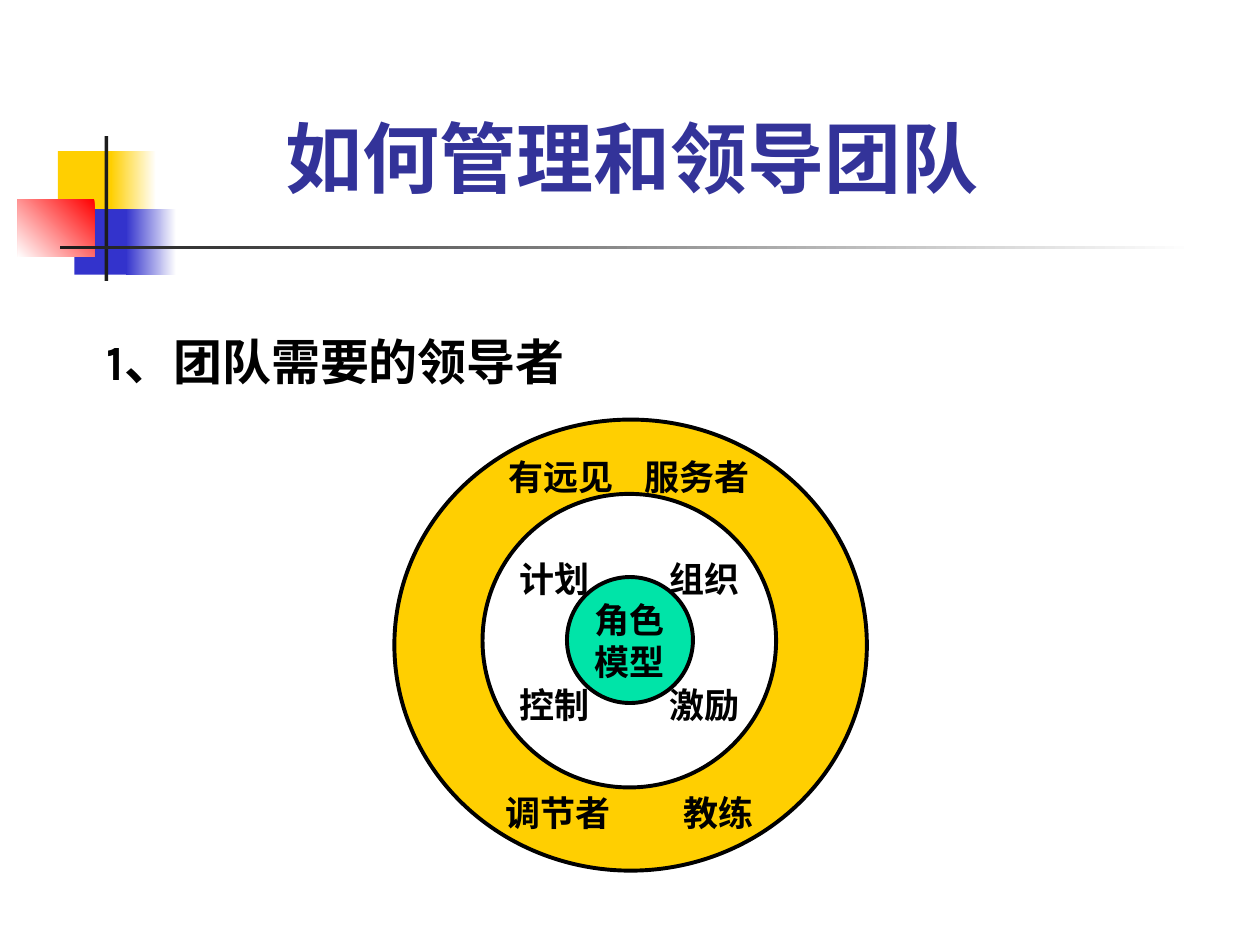
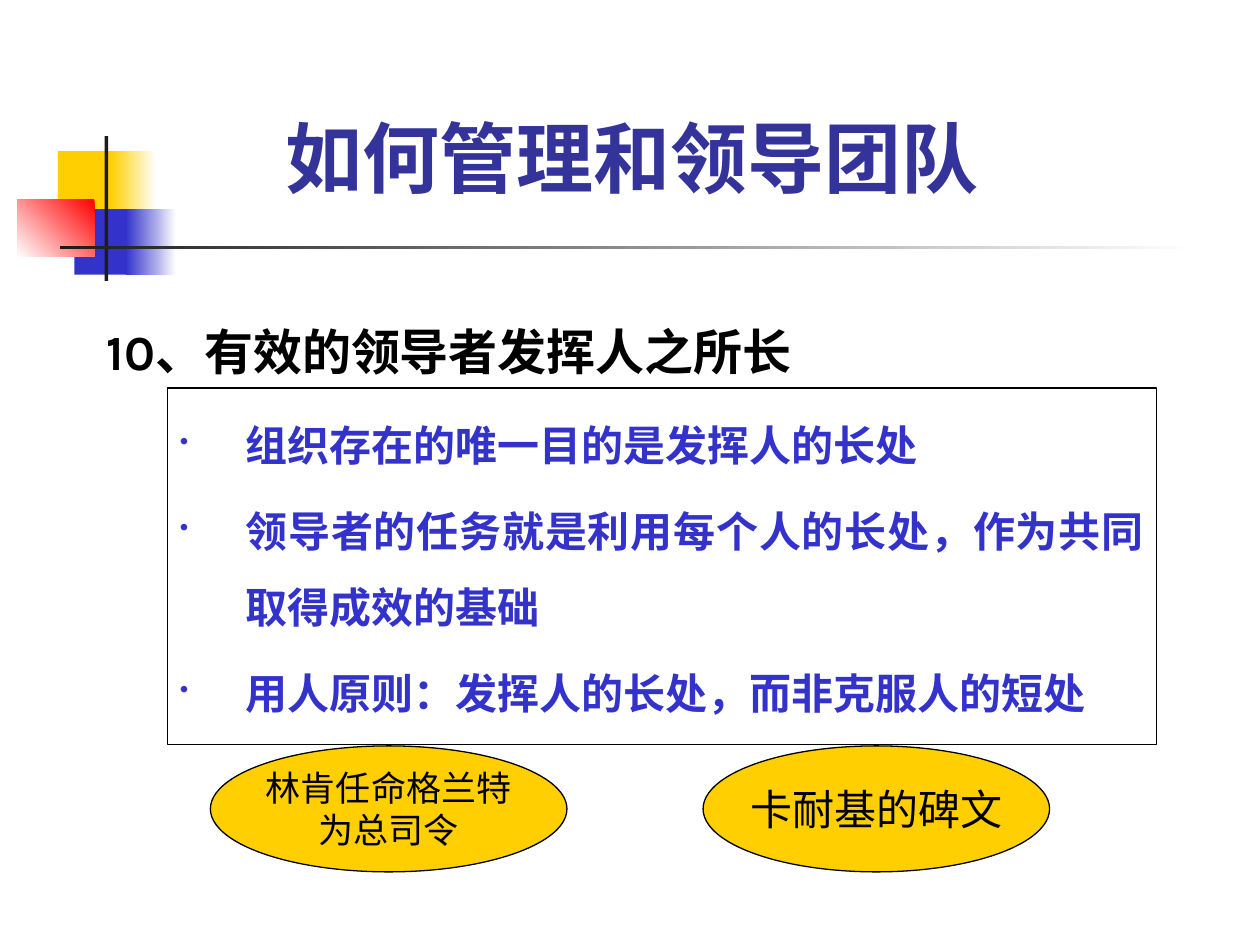
import pptx
import pptx.util
import pptx.dml.color
import pptx.enum.shapes
import pptx.enum.text
import pptx.oxml.ns
from lxml import etree

Inches = pptx.util.Inches
ALIGN = pptx.enum.text.PP_ALIGN
ANCHOR = pptx.enum.text.MSO_ANCHOR
SHAPE = pptx.enum.shapes.MSO_SHAPE

COLOURS = {
    "yellow": "FFCF01", "blue": "3333CC", "red": "FF0000", "ink": "1C1C1C",
    "title": "333399", "green": "00E4A8", "black": "000000", "white": "FFFFFF",
}
LATIN, CHINESE = "Karla", "Noto Sans CJK SC"
TITLE = "如何管理和领导团队"
TITLE_STYLE = {"size": 44, "bold": True, "colour": "title"}
HEADING_STYLE = {"size": 28, "bold": True}
LABEL_STYLE = {"size": 20, "bold": True}
BODY_STYLE = {"size": 24, "bold": True, "colour": "blue"}


def rgb(name):
    return pptx.dml.color.RGBColor.from_string(COLOURS[name])


def add_child(parent, tag, **attributes):
    return etree.SubElement(parent, pptx.oxml.ns.qn(tag), attributes)


def add_span(para, text, size, bold=False, colour="black", font=LATIN):
    span = para.add_run()
    span.text = text
    values = {"size": pptx.util.Pt(size), "bold": bold, "name": font}
    for name, value in values.items():
        setattr(span.font, name, value)
    span.font.color.rgb = rgb(colour)
    add_child(span.font._element, "a:ea", typeface=CHINESE)


def write_lines(box, lines, style, align=ALIGN.CENTER, wrap=False,
                anchor=ANCHOR.MIDDLE):
    """Write each line as a paragraph and return the paragraphs."""
    frame = box.text_frame
    frame.word_wrap = wrap
    frame.vertical_anchor = anchor
    paras = []
    for index, line in enumerate(lines):
        para = frame.add_paragraph() if index else frame.paragraphs[0]
        para.alignment = align
        add_span(para, line, **style)
        paras.append(para)
    return paras


def add_box(page, left, top, width, height, fill, kind=SHAPE.RECTANGLE,
            line_width=None):
    box = page.shapes.add_shape(kind, *map(Inches, (left, top, width, height)))
    box.shadow.inherit = False
    box.fill.solid()
    box.fill.fore_color.rgb = rgb(fill)
    if line_width is None:
        box.line.fill.background()
    else:
        box.line.color.rgb = rgb("black")
        box.line.width = pptx.util.Pt(line_width)
    return box


def add_fade(page, left, top, width, height, start, end, angle=180):
    box = add_box(page, left, top, width, height, start)
    box.fill.gradient()
    box.fill.gradient_angle = angle
    for stop, colour in zip(box.fill.gradient_stops, (start, end)):
        stop.color.rgb = rgb(colour)


def add_text(page, left, top, width, height):
    return page.shapes.add_textbox(*map(Inches, (left, top, width, height)))


def draw_emblem(page, left, top):
    """Overlapping squares with a crossing upright bar and fading rule."""
    add_box(page, left + 0.32, top + 0.12, 0.48, 0.52, "yellow")
    add_fade(page, left + 0.74, top + 0.12, 0.36, 0.52, "white", "yellow")
    add_box(page, left + 0.45, top + 0.58, 0.46, 0.52, "blue")
    add_fade(page, left + 0.86, top + 0.58, 0.4, 0.52, "white", "blue")
    add_fade(page, left, top + 0.5, 0.61, 0.46, "red", "white", 225)
    add_box(page, left + 0.69, top, 0.03, 1.15, "ink")
    add_fade(page, left + 0.34, top + 0.87, 9, 0.03, "white", "ink")


def start_page(deck, number, heading, heading_top):
    page = deck.slides.add_slide(deck.slide_layouts[6])
    draw_emblem(page, 0.14, 1.08)
    title = add_text(page, 2.17, 0.83, 6.17, 0.84)
    write_lines(title, [TITLE], TITLE_STYLE, ALIGN.LEFT, True, ANCHOR.TOP)
    box = add_text(page, 0.75, heading_top, 6.92, 0.57)
    para, = write_lines(box, [number], HEADING_STYLE, ALIGN.LEFT, True,
                        ANCHOR.TOP)
    add_span(para, heading, font=CHINESE, **HEADING_STYLE)
    return page


def draw_ring(page, left, top, width, height, fill, labels=()):
    """Ellipse with labels given as text and offset from its top left."""
    ring = add_box(page, left, top, width, height, fill, SHAPE.OVAL, 2.25)
    for text, across, down in labels:
        label = add_text(page, left + across - 0.6, top + down - 0.25, 1.2, 0.5)
        write_lines(label, [text], {**LABEL_STYLE, "font": CHINESE})
    return ring


def draw_leader_rings(page, left, top):
    draw_ring(page, left, top, 3.75, 3.58, "yellow", [
        ("有远见", 1.32, 0.45), ("服务者", 2.4, 0.45),
        ("调节者", 1.3, 3.12), ("教练", 2.57, 3.12)])
    duties = ["计划", "组织", "控制", "激励"]
    draw_ring(page, left + 0.7, top + 0.59, 2.33, 2.33, "white", [
        (duty, 0.57 + 1.19 * (index % 2), 0.67 + index // 2)
        for index, duty in enumerate(duties)])
    core = draw_ring(page, left + 1.37, top + 1.25, 1, 1, "green")
    write_lines(core, ["角色", "模型"], LABEL_STYLE)


def draw_bullet_panel(page, left, top, width, height, lines):
    panel = add_box(page, left, top, width, height, "white", line_width=0.75)
    paras = write_lines(panel, lines, BODY_STYLE, ALIGN.JUSTIFY, True,
                        ANCHOR.TOP)
    indent = Inches(0.52)
    for index, para in enumerate(paras):
        para.line_spacing = 1.5
        if index:
            para.space_before = pptx.util.Pt(6)
        layout = para._p.get_or_add_pPr()
        layout.set("marL", str(indent))
        layout.set("indent", str(-indent))
        tint = add_child(layout, "a:buClr")
        add_child(tint, "a:srgbClr", val=COLOURS["blue"])
        add_child(layout, "a:buSzPct", val="60000")
        add_child(layout, "a:buChar", char="•")


def draw_example(page, left, top, width, lines, size):
    oval = add_box(page, left, top, width, 1, "yellow", SHAPE.OVAL, 0.75)
    write_lines(oval, lines, {"size": size})


def build_leader_page(deck):
    page = start_page(deck, "1", "、团队需要的领导者", 2.58)
    draw_leader_rings(page, 3.13, 3.33)


def build_strengths_page(deck):
    page = start_page(deck, "10、", "有效的领导者发挥人之所长", 2.5)
    draw_bullet_panel(page, 1.33, 3.08, 7.85, 2.83, [
        "组织存在的唯一目的是发挥人的长处",
        "领导者的任务就是利用每个人的长处，作为共同取得成效的基础",
        "用人原则：发挥人的长处，而非克服人的短处"])
    draw_example(page, 1.67, 5.92, 2.83, ["林肯任命格兰特", "为总司令"], 20)
    draw_example(page, 5.58, 5.92, 2.75, ["卡耐基的碑文"], 24)


def main():
    deck = pptx.Presentation()
    deck.slide_width, deck.slide_height = Inches(10), Inches(7.5)
    build_leader_page(deck)
    build_strengths_page(deck)
    deck.save("out.pptx")


if __name__ == "__main__":
    main()
